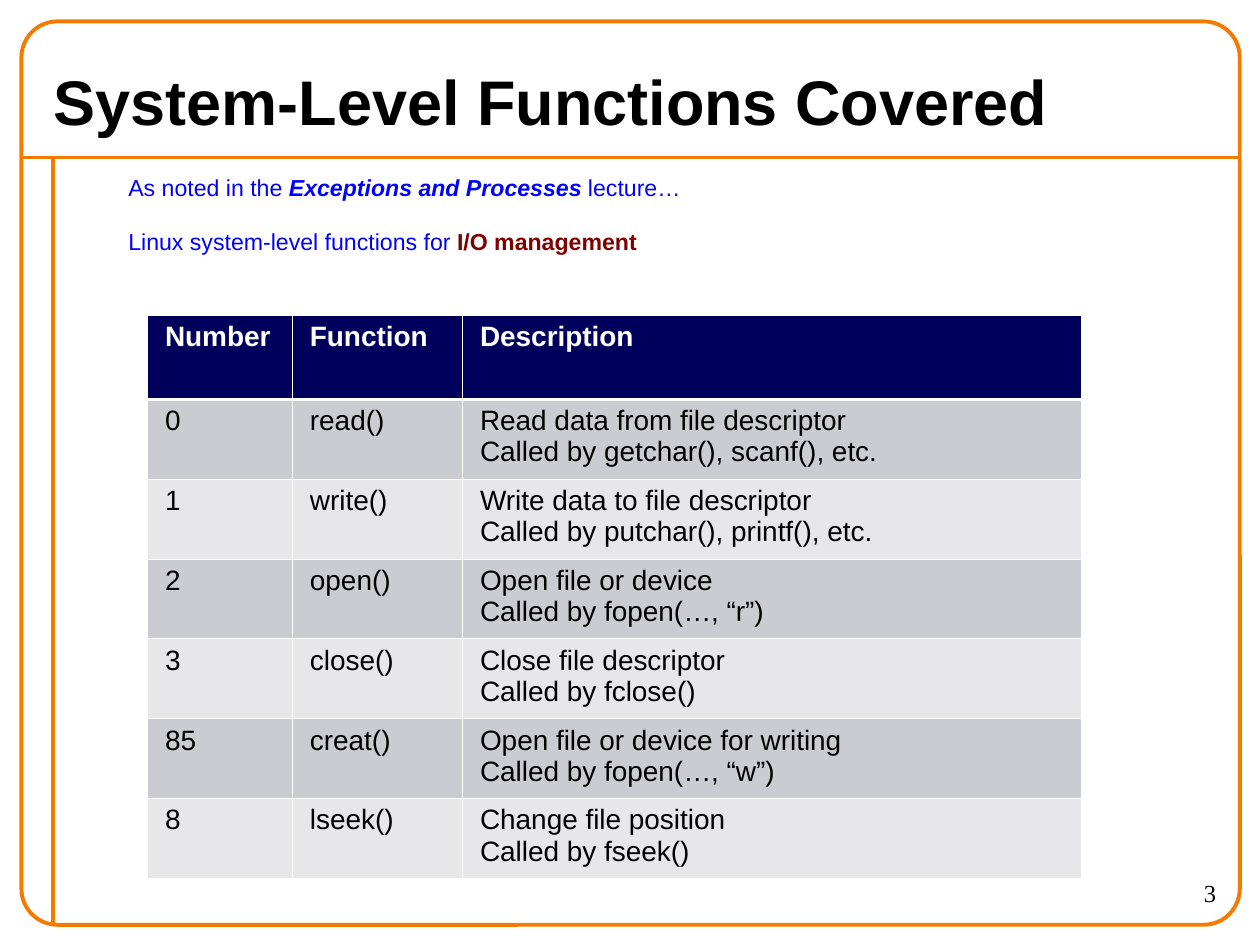
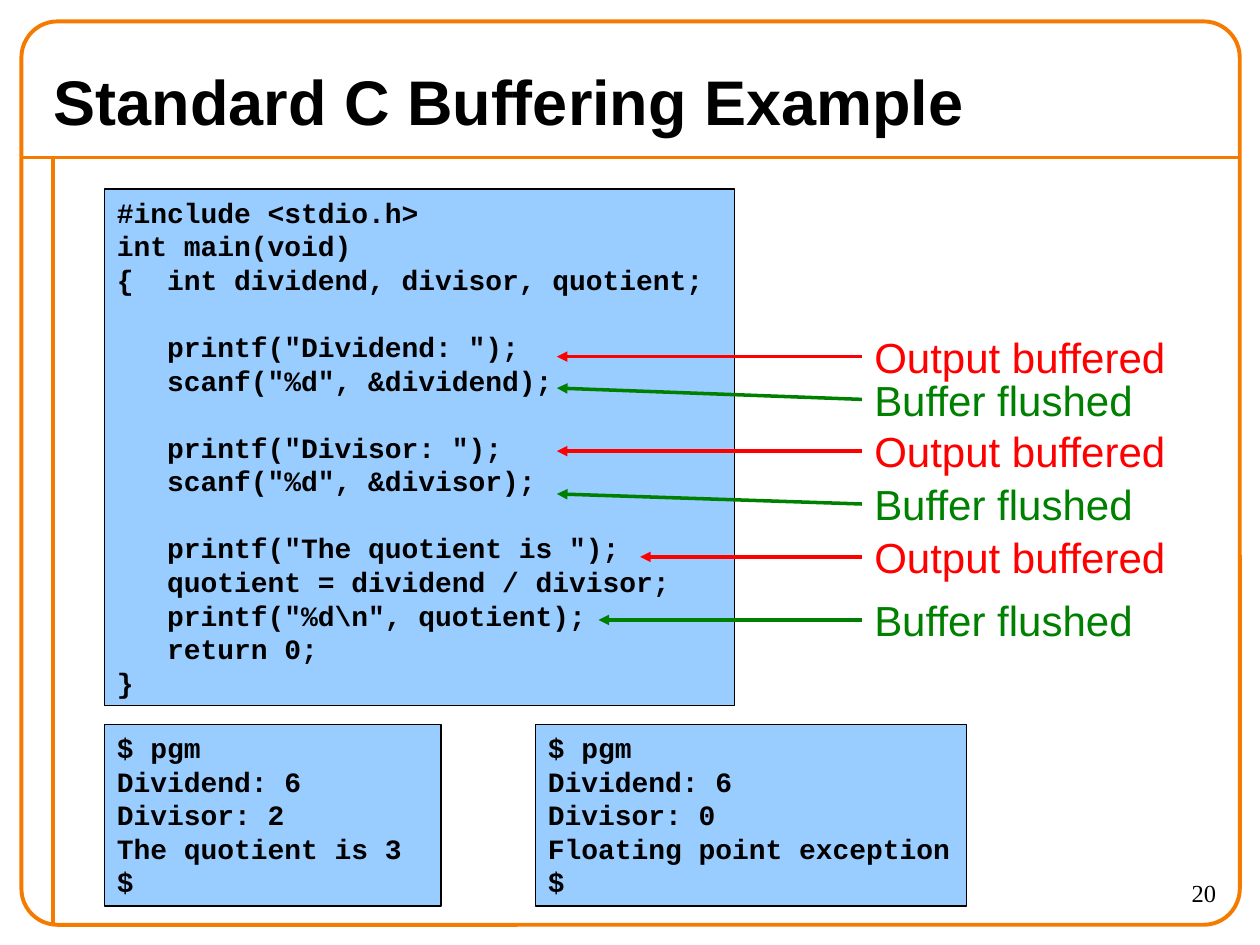
import pptx
import pptx.dml.color
import pptx.enum.shapes
import pptx.enum.text
import pptx.oxml
import pptx.oxml.ns
import pptx.util
from pptx.util import Inches

ORANGE, BLACK, WHITE = "F47A00", "000000", "FFFFFF"
BLUE, MAROON, RED, GREEN = "0000FF", "800000", "FF0000", "008000"
NAVY, GREY, LIGHT_GREY, CODE_BLUE = "00005C", "CBCBD2", "E7E7EA", "99CCFF"
NS = pptx.oxml.ns.nsdecls("a")
LEFT, RIGHT = pptx.enum.text.PP_ALIGN.LEFT, pptx.enum.text.PP_ALIGN.RIGHT
TOP, MIDDLE = pptx.enum.text.MSO_ANCHOR.TOP, pptx.enum.text.MSO_ANCHOR.MIDDLE
SHAPE = pptx.enum.shapes.MSO_SHAPE


def rgb(color):
    return pptx.dml.color.RGBColor.from_string(color)


class Deck:
    def __init__(self):
        self.prs = pptx.Presentation()
        self.prs.slide_width, self.prs.slide_height = Inches(10), Inches(7.5)
        self.s = None

    def slide(self, title, number):
        """Start a slide with the shared frame, title and page number."""
        self.s = self.prs.slides.add_slide(self.prs.slide_layouts[6])
        self.line(0.17, 1.25, 9.83, 1.25, ORANGE, 2.25)
        self.line(0.42, 1.25, 0.42, 7.33, ORANGE, 2.25)
        frame = self.box(SHAPE.ROUNDED_RECTANGLE, 0.17, 0.17, 9.67, 7.17,
                         None, ORANGE, 2.25)
        frame.adjustments[0] = 0.04
        self.text(0.33, 0.42, 9.33, 0.75, title, 36, bold=True, anchor=MIDDLE)
        self.text(8.75, 6.92, 1, 0.42, str(number), 14,
                  font="Times New Roman", align=RIGHT)

    def run(self, p, text, size, color=BLACK, font="Arial", bold=False, italic=False):
        r = p.add_run()
        r.text = text
        r.font.size, r.font.name = pptx.util.Pt(size), font
        r.font.bold, r.font.italic = bold, italic
        r.font.color.rgb = rgb(color)

    def line(self, x1, y1, x2, y2, color, width, arrow=False):
        sp = self.s.shapes.add_connector(
            pptx.enum.shapes.MSO_CONNECTOR.STRAIGHT,
            Inches(x1), Inches(y1), Inches(x2), Inches(y2))
        sp.line.color.rgb = rgb(color)
        sp.line.width = pptx.util.Pt(width)
        if arrow:
            sp.line._get_or_add_ln().append(
                pptx.oxml.parse_xml(f'<a:tailEnd {NS} type="triangle"/>'))
        sp._element.spPr.append(pptx.oxml.parse_xml(f"<a:effectLst {NS}/>"))
        return sp

    def box(self, kind, x, y, w, h, fill, line, width):
        sp = self.s.shapes.add_shape(kind, Inches(x), Inches(y), Inches(w), Inches(h))
        sp.shadow.inherit = False
        if fill:
            sp.fill.solid()
            sp.fill.fore_color.rgb = rgb(fill)
        else:
            sp.fill.background()
        sp.line.color.rgb = rgb(line)
        sp.line.width = pptx.util.Pt(width)
        return sp

    def text(self, x, y, w, h, text, size, align=LEFT, anchor=TOP, **style):
        sp = self.s.shapes.add_textbox(Inches(x), Inches(y), Inches(w), Inches(h))
        tf = sp.text_frame
        tf.word_wrap, tf.vertical_anchor = True, anchor
        p = tf.paragraphs[0]
        p.alignment = align
        if text:
            self.run(p, text, size, **style)
        return sp

    def paragraphs(self, x, y, w, h, paragraphs, size, space):
        """Text box whose paragraphs are lists of (text, style) runs."""
        tf = self.text(x, y, w, h, "", size).text_frame
        for i, runs in enumerate(paragraphs):
            p = tf.add_paragraph() if i else tf.paragraphs[0]
            if i:
                p.space_before = pptx.util.Pt(space)
            for text, style in runs:
                self.run(p, text, size, **style)

    def code(self, x, y, w, h, source):
        sp = self.box(SHAPE.RECTANGLE, x, y, w, h, CODE_BLUE, BLACK, 0.75)
        tf = sp.text_frame
        tf.word_wrap, tf.vertical_anchor = True, TOP
        for i, row in enumerate(source.split("\n")):
            p = tf.add_paragraph() if i else tf.paragraphs[0]
            p.alignment = LEFT
            p.line_spacing = pptx.util.Pt(19.2)
            self.run(p, row, 16, font="Courier New", bold=True)

    def callout(self, y, w, text, color, tip_x, tip_y):
        """Label to the right of the code with an arrow to its line."""
        label = self.text(6.84, y, w, 0.5, text, 24, color=color)
        label.text_frame.word_wrap = False
        label.text_frame.auto_size = pptx.enum.text.MSO_AUTO_SIZE.SHAPE_TO_FIT_TEXT
        arrow = self.line(6.84, y + 0.25, tip_x, tip_y, color, 2, arrow=True)
        arrow.begin_connect(label, 1)

    def borders(self, cell, widths):
        tc_pr = cell._tc.get_or_add_tcPr()
        for side, width in zip("LRTB", widths):
            tc_pr.append(pptx.oxml.parse_xml(
                f'<a:ln{side} {NS} w="{pptx.util.Pt(width)}"><a:solidFill>'
                f'<a:srgbClr val="{WHITE}"/></a:solidFill></a:ln{side}>'))

    def table(self, x, y, col_widths, header_height, row_height, rows):
        height = header_height + row_height * (len(rows) - 1)
        table = self.s.shapes.add_table(
            len(rows), len(col_widths), Inches(x), Inches(y),
            Inches(sum(col_widths)), Inches(height)).table
        for col, width in zip(table.columns, col_widths):
            col.width = Inches(width)
        thin, thick = 0.45, 1.47
        for i, row in enumerate(rows):
            table.rows[i].height = Inches(row_height if i else header_height)
            fill = (GREY if i % 2 else LIGHT_GREY) if i else NAVY
            for j, text in enumerate(row):
                cell = table.cell(i, j)
                cell.margin_left = cell.margin_right = Inches(0.14)
                self.borders(cell, (thin, thin, thick if i == 1 else thin,
                                    thin if i else thick))
                cell.fill.solid()
                cell.fill.fore_color.rgb = rgb(fill)
                p = cell.text_frame.paragraphs[0]
                for k, part in enumerate(text.split("\n")):
                    if k:
                        p.add_line_break()
                    self.run(p, part, 16, BLACK if i else WHITE, bold=not i)


FUNCTIONS = [
    ("Number", "Function", "Description"),
    ("0", "read()", "Read data from file descriptor\nCalled by getchar(), scanf(), etc."),
    ("1", "write()", "Write data to file descriptor\nCalled by putchar(), printf(), etc."),
    ("2", "open()", "Open file or device\nCalled by fopen(…, “r”)"),
    ("3", "close()", "Close file descriptor\nCalled by fclose()"),
    ("85", "creat()", "Open file or device for writing\nCalled by fopen(…, “w”)"),
    ("8", "lseek()", "Change file position\nCalled by fseek()"),
]

PROGRAM = r"""#include <stdio.h>
int main(void)
{  int dividend, divisor, quotient;

   printf("Dividend: ");
   scanf("%d", &dividend);

   printf("Divisor: ");
   scanf("%d", &divisor);

   printf("The quotient is ");
   quotient = dividend / divisor;
   printf("%d\n", quotient);
   return 0;
}"""


def functions_slide(deck):
    deck.slide("System-Level Functions Covered", 3)
    blue = {"color": BLUE}
    deck.paragraphs(0.92, 1.33, 9.08, 0.75, [
        [("As noted in the ", blue),
         ("Exceptions and Processes ", {"color": BLUE, "bold": True, "italic": True}),
         ("lecture…", blue)],
        [("Linux system-level functions for ", blue),
         ("I/O management", {"color": MAROON, "bold": True})],
    ], size=13.2, space=15)
    deck.table(1.17, 2.5, (1.15, 1.35, 4.91), 0.67, 3.8 / 6, FUNCTIONS)


def buffering_slide(deck):
    deck.slide("Standard C Buffering Example", 20)
    # Program and its two sample sessions
    deck.code(0.83, 1.5, 5, 4.1, PROGRAM)
    for x, w, divisor, result in ((0.83, 2.67, 2, "The quotient is 3"),
                                  (4.25, 3.42, 0, "Floating point exception")):
        deck.code(x, 5.75, w, 1.44,
                  f"$ pgm\nDividend: 6\nDivisor: {divisor}\n{result}\n$")
    # Buffered output and the call that flushes it, in pairs
    for buffered_y, flushed_y, buffered_tip, flushed_tip in (
            (2.58, 2.92, (4.42, 2.83), (4.42, 3.08)),
            (3.33, 3.75, (4.42, 3.58), (4.42, 3.92)),
            (4.17, 4.67, (5.08, 4.42), (4.75, 4.92))):
        deck.callout(buffered_y, 2.51, "Output buffered", RED, *buffered_tip)
        deck.callout(flushed_y, 2.25, "Buffer flushed", GREEN, *flushed_tip)


def main():
    deck = Deck()
    functions_slide(deck)
    buffering_slide(deck)
    deck.prs.save("out.pptx")


if __name__ == "__main__":
    main()
